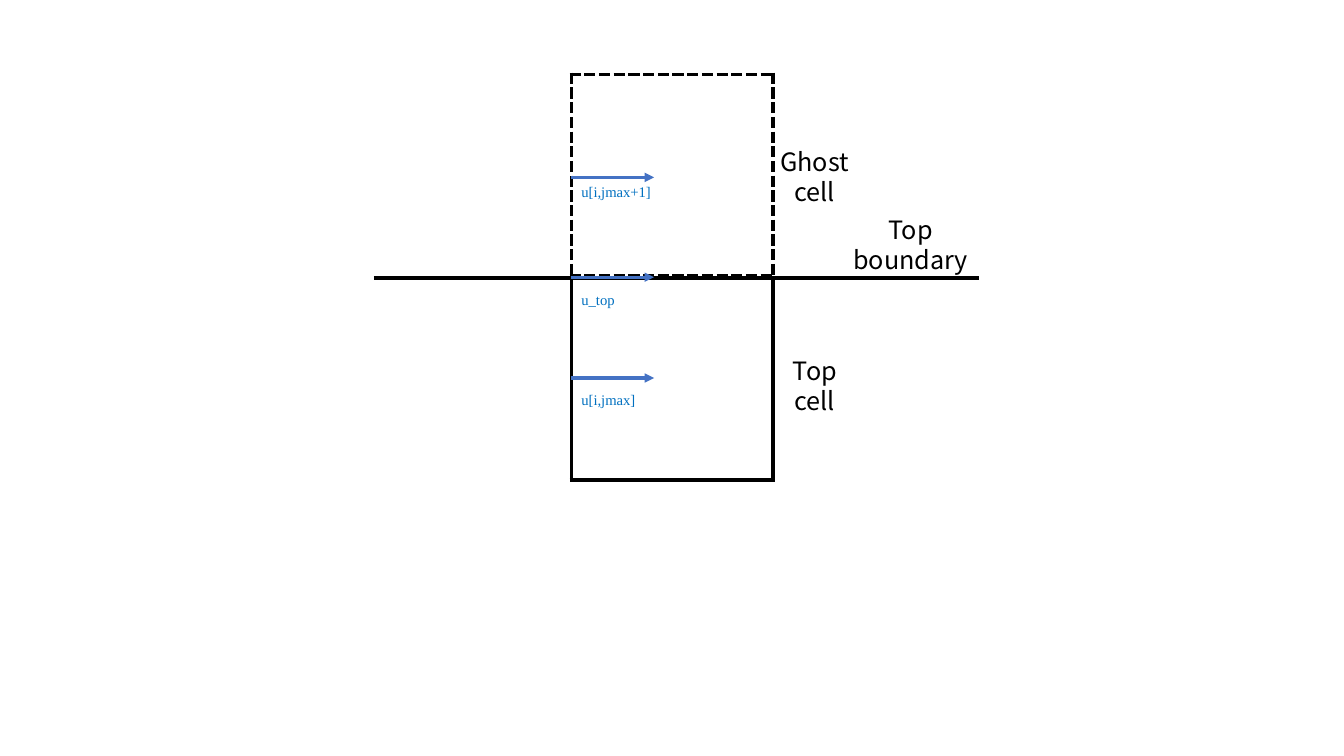
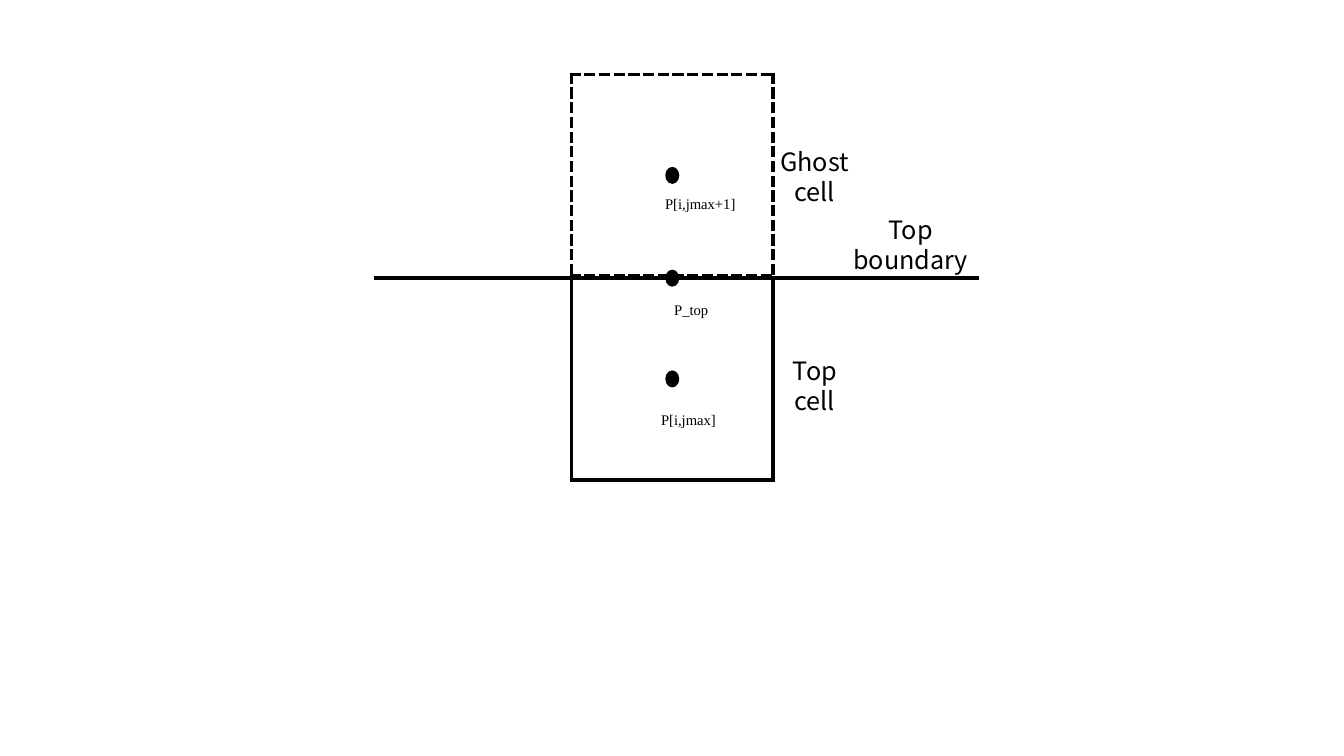
from dataclasses import dataclass

from lxml import etree
from pptx import Presentation
from pptx import util as u
from pptx.dml.color import RGBColor
from pptx.enum import shapes, text
from pptx.oxml.ns import qn

Pt = u.Pt


@dataclass(frozen=True)
class Theme:
    ink: str = "000000"
    arrow: str = "4472C4"
    velocity: str = "0070C0"
    label_font: str = "Noto Sans CJK SC"
    label_size: float = 18
    label_spacing: float = 21.4
    symbol_font: str = "Times New Roman"
    symbol_size: float = 10.5
    outline: float = 3
    arrow_width: float = 2.25


theme = Theme()
label_style = {
    "frame": {"margin_left": 0, "margin_right": 0, "margin_top": Pt(5)},
    "paragraph": {"alignment": text.PP_ALIGN.CENTER, "line_spacing": Pt(theme.label_spacing)},
    "font": {"name": theme.label_font, "size": Pt(theme.label_size)},
}
symbol_style = {
    "frame": {},
    "paragraph": {"alignment": text.PP_ALIGN.LEFT},
    "font": {"name": theme.symbol_font, "size": Pt(theme.symbol_size)},
}


def add_text(slide, words, box, style, color):
    frame = slide.shapes.add_textbox(*map(Pt, box)).text_frame
    frame.text = words
    frame.word_wrap = True
    frame.auto_size = text.MSO_AUTO_SIZE.SHAPE_TO_FIT_TEXT
    for name, value in style["frame"].items():
        setattr(frame, name, value)
    for paragraph in frame.paragraphs:
        for name, value in style["paragraph"].items():
            setattr(paragraph, name, value)
        font = paragraph.runs[0].font
        for name, value in style["font"].items():
            setattr(font, name, value)
        font.color.rgb = RGBColor.from_string(color)


def add_line(slide, start, end, y, color, width, arrow=False):
    connector = slide.shapes.add_connector(
        shapes.MSO_CONNECTOR.STRAIGHT, Pt(start), Pt(y), Pt(end), Pt(y))
    connector.line.color.rgb = RGBColor.from_string(color)
    connector.line.width = Pt(width)
    if arrow:
        etree.SubElement(connector.line._get_or_add_ln(), qn("a:tailEnd"), type="triangle")
    etree.SubElement(connector._element.spPr, qn("a:effectLst"))


presentation = Presentation()
presentation.slide_width, presentation.slide_height = Pt(960), Pt(540)

cell_left, cell_side = 408.2, 144
ghost_top, boundary = 53.3, 198.7
cells = [(ghost_top, "sysDash"), (boundary, "solid")]
labels = [
    ("Top\ncell", (552.2, 249.1, 59.8, 51)),
    ("Ghost\ncell", (539.3, 99.4, 85, 51)),
    ("Top\nboundary", (601.9, 148.3, 97.2, 51)),
]
symbol_width, symbol_height = 87.1, 20.9
arrow_length = 59
dot_width, dot_height = 10, 12.2

velocities = [
    ("u[i,jmax]", 270, 275.8),
    ("u[i,jmax+1]", 126.7, 126.7),
    ("u_top", 198, 204.5),
]
pressures = [
    ("P[i,jmax]", boundary + cell_side / 2, 465.1, 290.2),
    ("P[i,jmax+1]", ghost_top + cell_side / 2, 468, 135.4),
    ("P_top", boundary, 474.5, 211),
]

slides = []
for _ in range(2):
    slide = presentation.slides.add_slide(presentation.slide_layouts[6])
    slides.append(slide)
    for top, dash in cells:
        table = slide.shapes.add_table(
            1, 1, Pt(cell_left), Pt(top), Pt(cell_side), Pt(cell_side)).table
        table.first_row = table.horz_banding = False
        cell = table.cell(0, 0)
        cell.fill.background()
        properties = cell._tc.get_or_add_tcPr()
        for index, side in enumerate(("lnL", "lnR", "lnT", "lnB")):
            border = etree.Element(qn(f"a:{side}"), w=str(Pt(theme.outline)))
            fill = etree.SubElement(border, qn("a:solidFill"))
            etree.SubElement(fill, qn("a:srgbClr"), val=theme.ink)
            etree.SubElement(border, qn("a:prstDash"), val=dash)
            properties.insert(index, border)
    add_line(slide, 267.1, 699.1, boundary, theme.ink, theme.outline)
    for words, box in labels:
        add_text(slide, words, box, label_style, theme.ink)

velocity_slide, pressure_slide = slides

for words, arrow_y, text_top in velocities:
    add_line(velocity_slide, cell_left, cell_left + arrow_length, arrow_y,
             theme.arrow, theme.arrow_width, arrow=True)
    add_text(velocity_slide, words, (cell_left, text_top, symbol_width, symbol_height),
             symbol_style, theme.velocity)

dot_left = cell_left + (cell_side - dot_width) / 2
for words, center_y, text_left, text_top in pressures:
    dot = pressure_slide.shapes.add_shape(
        shapes.MSO_SHAPE.OVAL, Pt(dot_left), Pt(center_y - dot_height / 2),
        Pt(dot_width), Pt(dot_height))
    dot.shadow.inherit = False
    dot.fill.solid()
    dot.fill.fore_color.rgb = RGBColor.from_string(theme.ink)
    dot.line.fill.background()
    add_text(pressure_slide, words, (text_left, text_top, symbol_width, symbol_height),
             symbol_style, theme.ink)

presentation.save("out.pptx")
